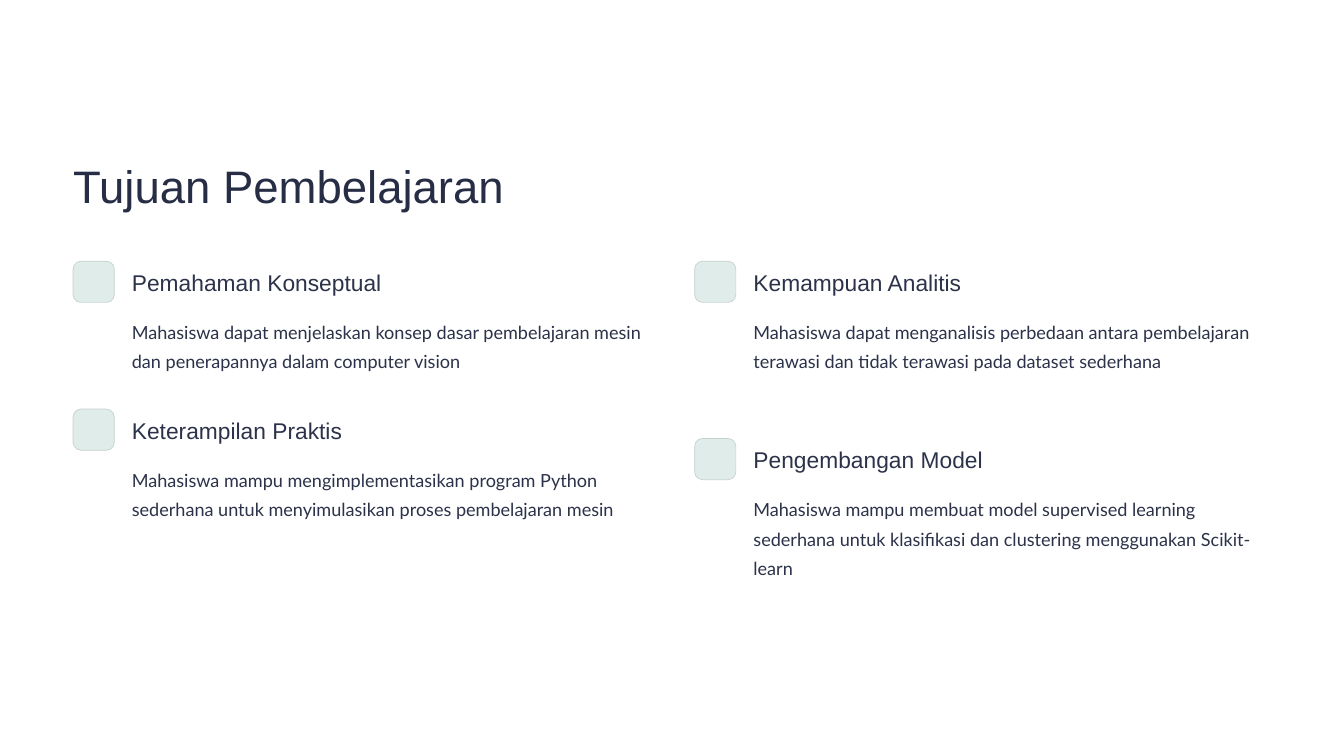
from pptx import Presentation
from pptx.dml.color import RGBColor
from pptx.enum.shapes import MSO_SHAPE
from pptx.util import Inches, Pt

ROUND = MSO_SHAPE.ROUNDED_RECTANGLE

TITLE = {"name": "Arial", "size": Pt(39)}
HEAD = {"name": "Arial", "size": Pt(19.5)}
BODY = {"name": "Lato", "size": Pt(15.5)}
INK = "2C3249"
LEFT, RIGHT = 0.87, 8.27

GOALS = [
    (LEFT, 3.11, "Pemahaman Konseptual",
     "Mahasiswa dapat menjelaskan konsep dasar pembelajaran mesin "
     "dan penerapannya dalam computer vision"),
    (LEFT, 4.87, "Keterampilan Praktis",
     "Mahasiswa mampu mengimplementasikan program Python "
     "sederhana untuk menyimulasikan proses pembelajaran mesin"),
    (RIGHT, 3.11, "Kemampuan Analitis",
     "Mahasiswa dapat menganalisis perbedaan antara pembelajaran "
     "terawasi dan tidak terawasi pada dataset sederhana"),
    (RIGHT, 5.22, "Pengembangan Model",
     "Mahasiswa mampu membuat model supervised learning "
     "sederhana untuk klasifikasi dan clustering menggunakan Scikit-learn"),
]


def paint(fill, color):
    """Make a fill solid in the hex colour."""
    fill.solid()
    fill.fore_color.rgb = RGBColor.from_string(color)


def add_text(slide, text, box, style, space, color=INK, wrap=False):
    """Place text in box (left, top, width, height) with line pitch in points."""
    frame = slide.shapes.add_textbox(*map(Inches, box)).text_frame
    layout = {"margin_left": 0, "margin_top": 0, "margin_right": 0,
              "margin_bottom": 0, "word_wrap": wrap}
    for key, value in layout.items():
        setattr(frame, key, value)
    para = frame.paragraphs[0]
    para.line_spacing = Pt(space)
    run = para.add_run()
    run.text = text
    for key, value in style.items():
        setattr(run.font, key, value)
    paint(run.font.fill, color)


def add_badge(slide, left, top):
    badge = slide.shapes.add_shape(ROUND, *map(Inches, (left, top, 0.49, 0.49)))
    badge.adjustments[0] = 0.19
    badge.shadow.inherit = False
    paint(badge.fill, "DFECE9")
    paint(badge.line.fill, "C5D2CF")
    badge.line.width = Pt(0.6)


def add_goal(slide, left, top, head, body):
    add_badge(slide, left, top)
    inner = left + 0.7
    add_text(slide, head, (inner, top + 0.08, 3.2, 0.34), HEAD, 24)
    add_text(slide, body, (inner, top + 0.63, 6.16, 1.04), BODY, 25, wrap=True)


def main():
    deck = Presentation()
    deck.slide_width, deck.slide_height = Inches(16), Inches(9)
    slide = deck.slides.add_slide(deck.slide_layouts[6])
    paint(slide.background.fill, "FFFFFF")
    add_text(slide, "Tujuan Pembelajaran", (LEFT, 1.86, 5.43, 0.68),
             TITLE, 48.5, "272D45")
    for goal in GOALS:
        add_goal(slide, *goal)
    deck.save("out.pptx")


if __name__ == "__main__":
    main()
